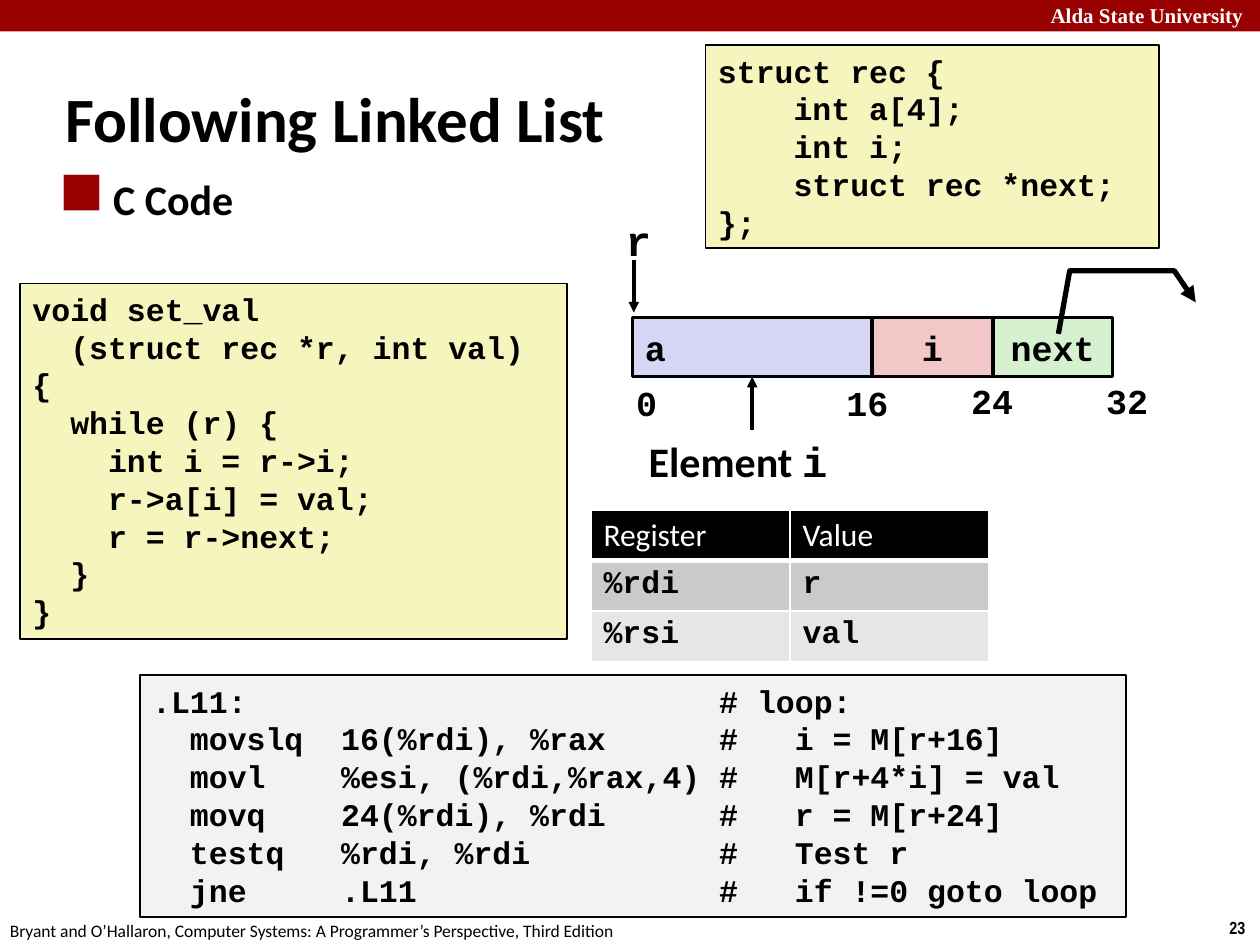
from pptx import Presentation
from pptx.dml.color import RGBColor
from pptx.enum.shapes import MSO_CONNECTOR as CONN, MSO_SHAPE as SHAPE
from pptx.enum.text import MSO_ANCHOR as ANCHOR, PP_ALIGN as ALIGN
from pptx.oxml import parse_xml
from pptx.oxml.ns import nsdecls, qn
from pptx.util import Inches, Pt

MONO, SANS = "Courier New", "Calibri"
BLACK, WHITE, RED, CREAM = "000000", "FFFFFF", "990000", "F6F5BD"

STRUCT = """struct rec {
    int a[4];
    int i;
    struct rec *next;
};"""

C_CODE = """void set_val
  (struct rec *r, int val)
{
  while (r) {
    int i = r->i;
    r->a[i] = val;
    r = r->next;
  }
}"""

ASSEMBLY = """.L11:                         # loop:
  movslq  16(%rdi), %rax      #   i = M[r+16]
  movl    %esi, (%rdi,%rax,4) #   M[r+4*i] = val
  movq    24(%rdi), %rdi      #   r = M[r+24]
  testq   %rdi, %rdi          #   Test r
  jne     .L11                #   if !=0 goto loop"""


def rgb(value):
    return RGBColor.from_string(value)


def element(tag, inner="", attrs=""):
    return parse_xml(f"<a:{tag} {nsdecls('a')} {attrs}>{inner}</a:{tag}>")


class Deck:
    """Slide builder that holds the style and the current slide."""

    def __init__(self, prs):
        self.s = prs.slides.add_slide(prs.slide_layouts[6])

    def run(self, p, text, size, font=MONO, color=BLACK, bold=True):
        r = p.add_run()
        r.text = text
        r.font.size, r.font.name, r.font.bold = Pt(size), font, bold
        r.font.color.rgb = rgb(color)

    def text(self, x, y, w, h, runs, anchor=ANCHOR.TOP, wrap=True):
        sp = self.s.shapes.add_textbox(*map(Inches, (x, y, w, h)))
        tf = sp.text_frame
        tf.word_wrap, tf.vertical_anchor = wrap, anchor
        for r in runs:
            self.run(tf.paragraphs[0], *r)
        return tf.paragraphs[0]

    def bullet(self, x, y, w, h, runs):
        pPr = self.text(x, y, w, h, runs)._p.get_or_add_pPr()
        pPr.set("marL", str(Inches(0.38)))
        pPr.set("indent", str(-Inches(0.38)))
        pPr.append(element("buClr", f'<a:srgbClr val="{RED}"/>'))
        pPr.append(element("buFont", attrs='typeface="Wingdings 2" charset="2"'))
        pPr.append(element("buChar", attrs='char="¢"'))

    def box(self, x, y, w, h, fill, line=None):
        sp = self.s.shapes.add_shape(SHAPE.RECTANGLE, *map(Inches, (x, y, w, h)))
        sp.shadow.inherit = False
        sp.fill.solid()
        sp.fill.fore_color.rgb = rgb(fill)
        if line:
            sp.line.color.rgb, sp.line.width = rgb(BLACK), Pt(line)
        else:
            sp.line.fill.background()
        return sp

    def code(self, x, y, w, h, fill, source):
        tf = self.box(x, y, w, h, fill, 1).text_frame
        tf.word_wrap, tf.vertical_anchor = True, ANCHOR.TOP
        for i, line in enumerate(source.split("\n")):
            p = tf.add_paragraph() if i else tf.paragraphs[0]
            p.alignment = ALIGN.LEFT
            self.run(p, line, 18)

    def field(self, x, w, fill, name, align=ALIGN.CENTER):
        sp = self.box(x, 2.52, w, 0.47, fill, 2)
        tf = sp.text_frame
        tf.vertical_anchor = ANCHOR.MIDDLE
        tf.paragraphs[0].alignment = align
        self.run(tf.paragraphs[0], name, 20)
        return sp

    def stroke(self, sp, width):
        sp.line.color.rgb, sp.line.width = rgb(BLACK), Pt(width)
        sp.line._get_or_add_ln().append(element("tailEnd", attrs='type="triangle"'))

    def arrow(self, x, y1, y2):
        cn = self.s.shapes.add_connector(CONN.STRAIGHT, *map(Inches, (x, y1, x, y2)))
        self.stroke(cn, 2)
        cn._element.spPr.append(element("effectLst"))
        return cn

    def bent_arrow(self, start, *points):
        fb = self.s.shapes.build_freeform(*map(Inches, start), scale=1.0)
        fb.add_line_segments([tuple(map(Inches, pt)) for pt in points], close=False)
        sp = fb.convert_to_shape()
        sp.shadow.inherit = False
        sp.fill.background()
        self.stroke(sp, 3)

    def borders(self, cell, bottom):
        tcPr = cell._tc.get_or_add_tcPr()
        fill = tcPr.find(qn("a:solidFill"))
        for side in "LRTB":
            width = Pt(bottom if side == "B" else 1)
            fill.addprevious(element(
                f"ln{side}", f'<a:solidFill><a:srgbClr val="{WHITE}"/></a:solidFill>', f'w="{width}"'))

    def table(self, x, y, col, row, rows, fills):
        n, m = len(rows), len(rows[0])
        size = map(Inches, (x, y, col * m, row * n))
        tbl = self.s.shapes.add_table(n, m, *size).table
        for i, (values, fill) in enumerate(zip(rows, fills)):
            for j, value in enumerate(values):
                cell = tbl.cell(i, j)
                cell.fill.solid()
                cell.fill.fore_color.rgb = rgb(fill)
                self.borders(cell, 1 if i else 3)
                style = (MONO, BLACK, True) if i else (SANS, WHITE, False)
                self.run(cell.text_frame.paragraphs[0], value, 18, *style)


def main():
    prs = Presentation()
    prs.slide_width, prs.slide_height = Inches(10), Inches(7.5)
    d = Deck(prs)

    d.box(0, 0, 10, 0.25, RED)
    d.text(8.24, -0.03, 1.83, 0.3,
           [("Alda State University", 12, "Times New Roman", WHITE)], wrap=False)
    d.text(9.66, 7.23, 0.34, 0.27, [("23", 10, "Arial Narrow")], wrap=False)
    d.text(-0.02, 7.25, 5.08, 0.27,
           [("Bryant and O’Hallaron, Computer Systems: A Programmer’s Perspective, Third Edition",
             10, SANS, BLACK, False)], wrap=False)

    d.code(1.11, 5.36, 7.83, 1.92, "F2F2F2", ASSEMBLY)
    d.code(0.16, 2.25, 4.34, 2.82, CREAM, C_CODE)
    d.text(0.42, 0.62, 7.9, 0.63, [("Following Linked List", 36, SANS)], ANCHOR.MIDDLE)
    d.bullet(0.42, 1.33, 3.33, 0.78, [("C Code", 24, SANS)])
    d.table(4.69, 4.05, 1.58, 0.4,
            [("Register", "Value"), ("%rdi", "r"), ("%rsi", "val")],
            [BLACK, "CACACA", "E6E6E6"])
    d.code(5.6, 0.36, 3.6, 1.61, CREAM, STRUCT)

    array = d.field(5.02, 1.9, "D5D5F4", "a", ALIGN.LEFT)
    d.field(6.92, 0.96, "F1C7C7", "i")
    d.field(7.88, 0.95, "D5F1CF", "next")
    for x, y, offset in [(4.95, 2.98, "0"), (6.62, 2.98, "16"), (7.61, 2.96, "24"), (8.68, 2.96, "32")]:
        d.text(x, y, 0.54, 0.43, [(offset, 20)], wrap=False)

    d.arrow(5.97, 3.41, 2.99).end_connect(array, 2)
    d.text(5.05, 3.41, 1.67, 0.42, [("Element ", 24, SANS), ("i", 24)])
    d.arrow(5.03, 2.06, 2.48)
    d.text(4.87, 1.65, 0.4, 0.5, [("r", 24)], wrap=False)
    d.bent_arrow((8.4, 2.65), (8.49, 2.15), (9.32, 2.15), (9.49, 2.4))

    prs.save("out.pptx")


if __name__ == "__main__":
    main()
